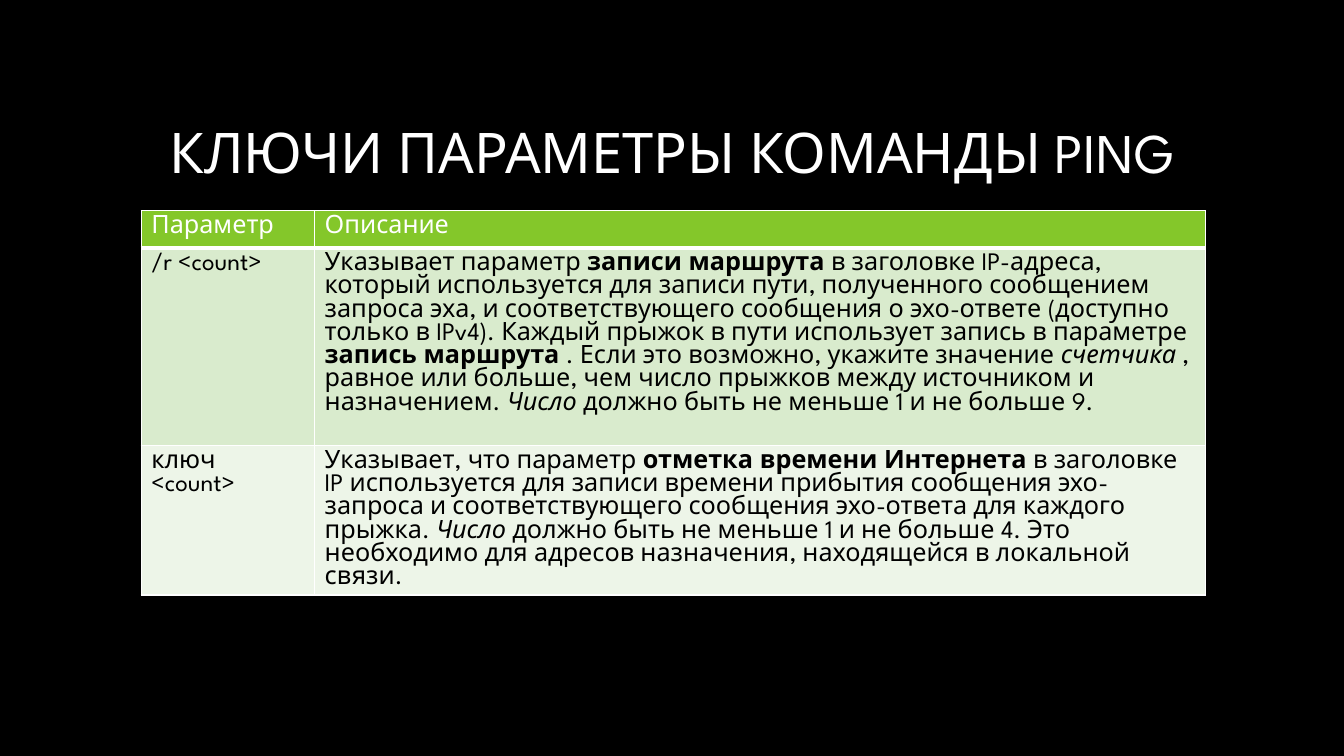
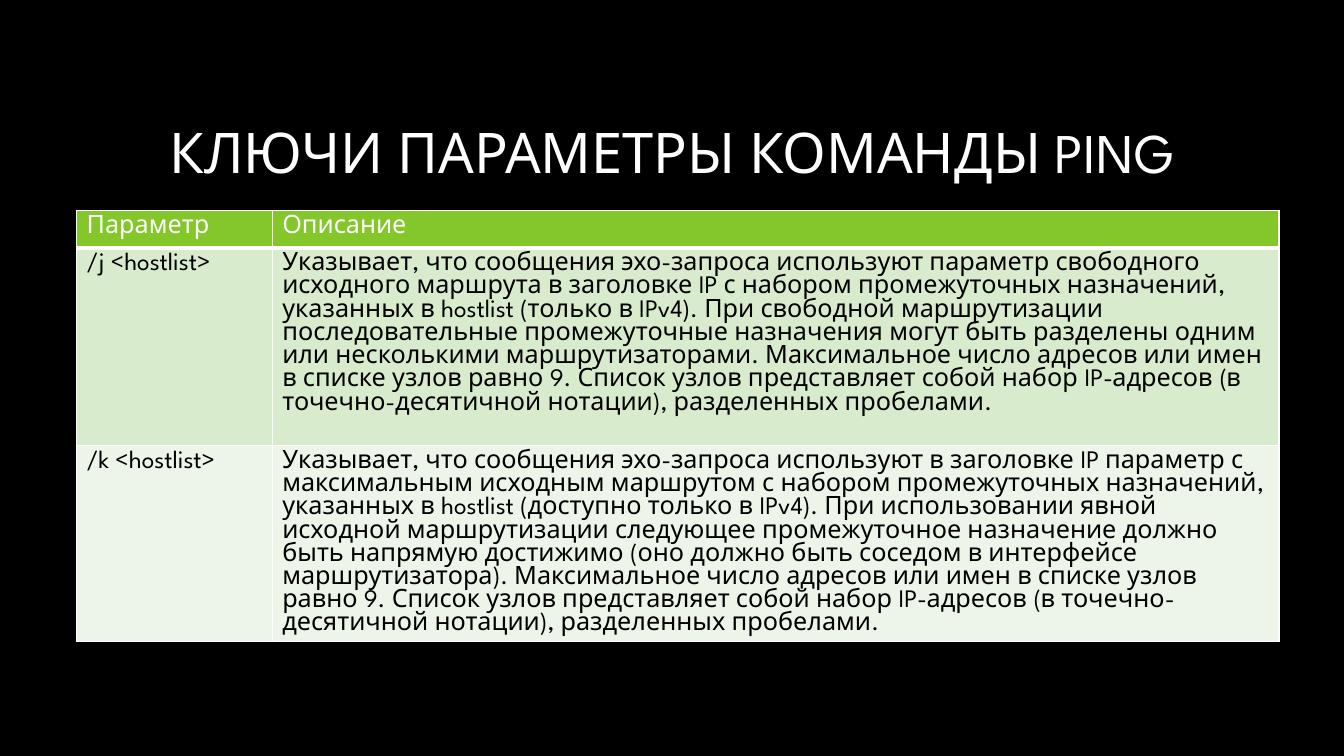
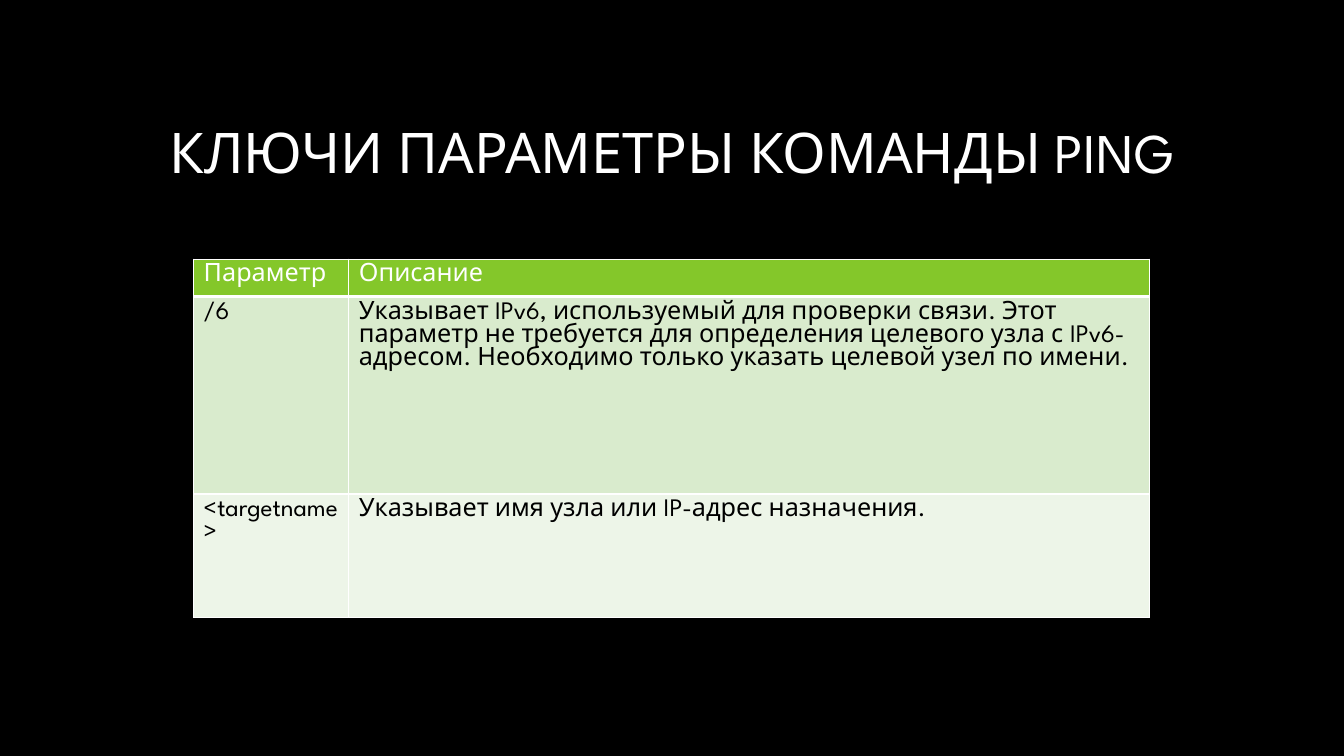
from lxml.etree import SubElement
from pptx import Presentation
from pptx.dml.color import RGBColor
from pptx.enum.text import MSO_ANCHOR, MSO_AUTO_SIZE, PP_ALIGN
from pptx.oxml.ns import qn
from pptx.util import Cm, Pt

FONT = "League Spartan"
WHITE = "FFFFFF"
BLACK = "000000"
TITLE = "КЛЮЧИ ПАРАМЕТРЫ КОМАНДЫ PING"
HEADER = ("Параметр", [("Описание", "")])
ROW_FILLS = ["84C72A", "D9EBCD", "EDF5E8"]
ROW_HEIGHTS = [0.94, 4.98, 3.1]

SLIDES = [
    (3.56, 5.31, [4.37, 22.45], [
        ("/r <count>", [
            ("Указывает параметр ", ""),
            ("записи маршрута", "b"),
            (" в заголовке IP-адреса, который используется для записи пути, "
             "полученного сообщением запроса эха, и соответствующего сообщения "
             "о эхо-ответе (доступно только в IPv4). Каждый прыжок в пути "
             "использует запись в параметре ", ""),
            ("запись маршрута", "b"),
            (" . Если это возможно, укажите значение ", ""),
            ("счетчика", "i"),
            (" , равное или больше, чем число прыжков между источником "
             "и назначением. ", ""),
            ("Число", "i"),
            (" должно быть не меньше 1 и не больше 9.", ""),
        ]),
        ("ключ <count>", [
            ("Указывает, что параметр ", ""),
            ("отметка времени Интернета", "b"),
            (" в заголовке IP используется для записи времени прибытия "
             "сообщения эхо-запроса и соответствующего сообщения эхо-ответа "
             "для каждого прыжка. ", ""),
            ("Число", "i"),
            (" должно быть не меньше 1 и не больше 4. Это необходимо для "
             "адресов назначения, находящейся в локальной связи.", ""),
        ]),
    ]),
    (1.93, 5.31, [4.93, 25.37], [
        ("/j <hostlist>", [
            ("Указывает, что сообщения эхо-запроса используют параметр "
             "свободного исходного маршрута в заголовке IP с набором "
             "промежуточных назначений, указанных в hostlist (только в IPv4). "
             "При свободной маршрутизации последовательные промежуточные "
             "назначения могут быть разделены одним или несколькими "
             "маршрутизаторами. Максимальное число адресов или имен в списке "
             "узлов равно 9. Список узлов представляет собой набор IP-адресов "
             "(в точечно-десятичной нотации), разделенных пробелами.", ""),
        ]),
        ("/k <hostlist>", [
            ("Указывает, что сообщения эхо-запроса используют в заголовке IP "
             "параметр с максимальным исходным маршрутом с набором "
             "промежуточных назначений, указанных в hostlist (доступно только "
             "в IPv4). При использовании явной исходной маршрутизации "
             "следующее промежуточное назначение должно быть напрямую "
             "достижимо (оно должно быть соседом в интерфейсе "
             "маршрутизатора). Максимальное число адресов или имен в списке "
             "узлов равно 9. Список узлов представляет собой набор IP-адресов "
             "(в точечно-десятичной нотации), разделенных пробелами.", ""),
        ]),
    ]),
    (4.88, 6.53, [3.91, 20.17], [
        ("/6", [
            ("Указывает IPv6, используемый для проверки связи. Этот параметр "
             "не требуется для определения целевого узла с IPv6-адресом. "
             "Необходимо только указать целевой узел по имени.", ""),
        ]),
        ("<targetname>", [
            ("Указывает имя узла или IP-адрес назначения.", ""),
        ]),
    ]),
]


def color(value):
    return RGBColor.from_string(value)


def add_borders(cell, bottom):
    tcPr = cell._tc.get_or_add_tcPr()
    for side, width in (("L", 1), ("R", 1), ("T", 1), ("B", bottom)):
        ln = SubElement(tcPr, qn(f"a:ln{side}"), w=str(Pt(width)))
        fill = SubElement(ln, qn("a:solidFill"))
        SubElement(fill, qn("a:srgbClr"), val=WHITE)


prs = Presentation()
prs.slide_width = Cm(33.87)
prs.slide_height = Cm(19.05)
background = prs.slide_master.background.fill
background.solid()
background.fore_color.rgb = color(BLACK)

for left, top, widths, body in SLIDES:
    s = prs.slides.add_slide(prs.slide_layouts[5])

    sp = s.shapes.title
    sp.left, sp.top = Cm(0), Cm(2.13)
    sp.width, sp.height = prs.slide_width, Cm(3.58)
    tf = sp.text_frame
    tf.text = TITLE
    tf.word_wrap = True
    tf.auto_size = MSO_AUTO_SIZE.NONE
    tf.vertical_anchor = MSO_ANCHOR.MIDDLE
    p = tf.paragraphs[0]
    p.alignment = PP_ALIGN.CENTER
    p.line_spacing = 0.9
    font = p.runs[0].font
    font.name, font.size = FONT, Pt(40)
    font.color.rgb = color(WHITE)

    rows = [HEADER] + body
    table = s.shapes.add_table(
        len(rows), len(widths), Cm(left), Cm(top),
        Cm(sum(widths)), Cm(sum(ROW_HEIGHTS))).table
    table.horz_banding = False
    for column, width in zip(table.columns, widths):
        column.width = Cm(width)

    for i, (name, description) in enumerate(rows):
        table.rows[i].height = Cm(ROW_HEIGHTS[i])
        for j, runs in enumerate(([(name, "")], description)):
            cell = table.cell(i, j)
            add_borders(cell, 3 if i == 0 else 1)
            cell.fill.solid()
            cell.fill.fore_color.rgb = color(ROW_FILLS[i])
            p = cell.text_frame.paragraphs[0]
            for text, style in runs:
                r = p.add_run()
                r.text = text
                r.font.name, r.font.size = FONT, Pt(18)
                r.font.bold = style == "b"
                r.font.italic = style == "i"
                r.font.color.rgb = color(WHITE if i == 0 else BLACK)

prs.save("out.pptx")
